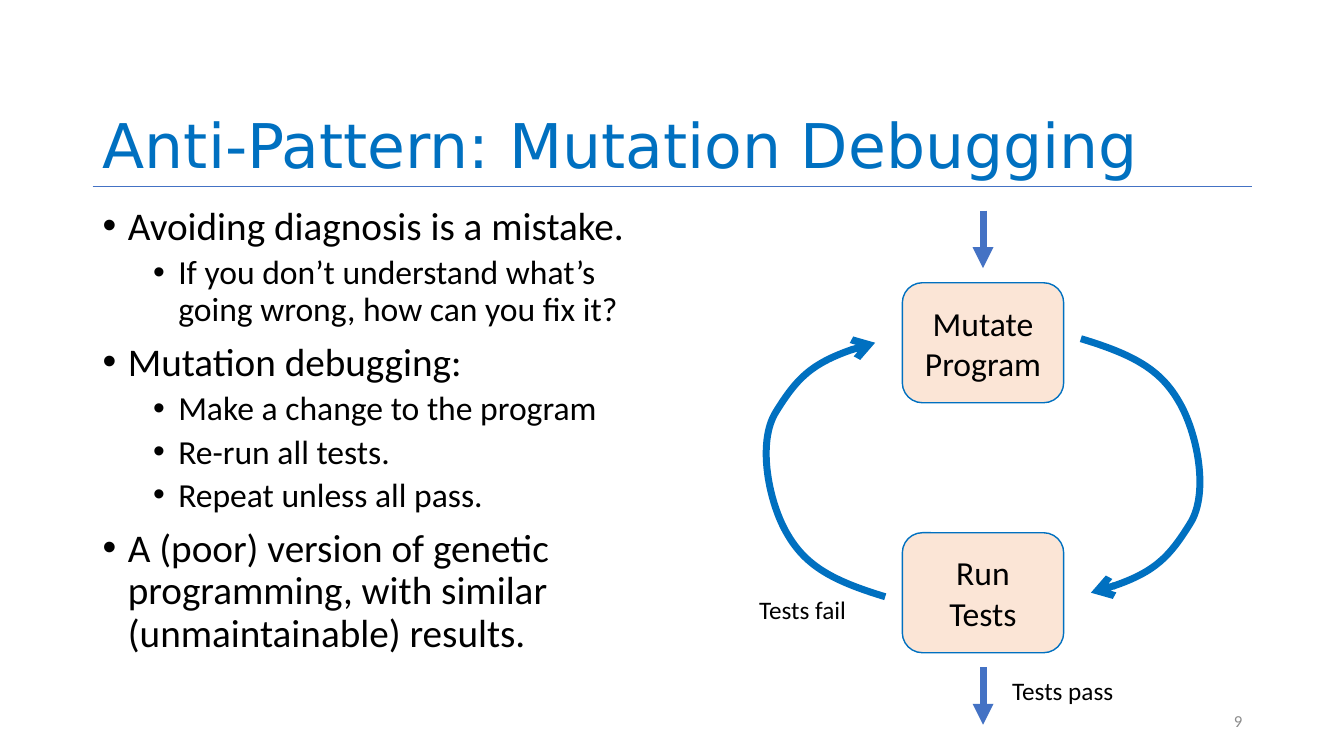
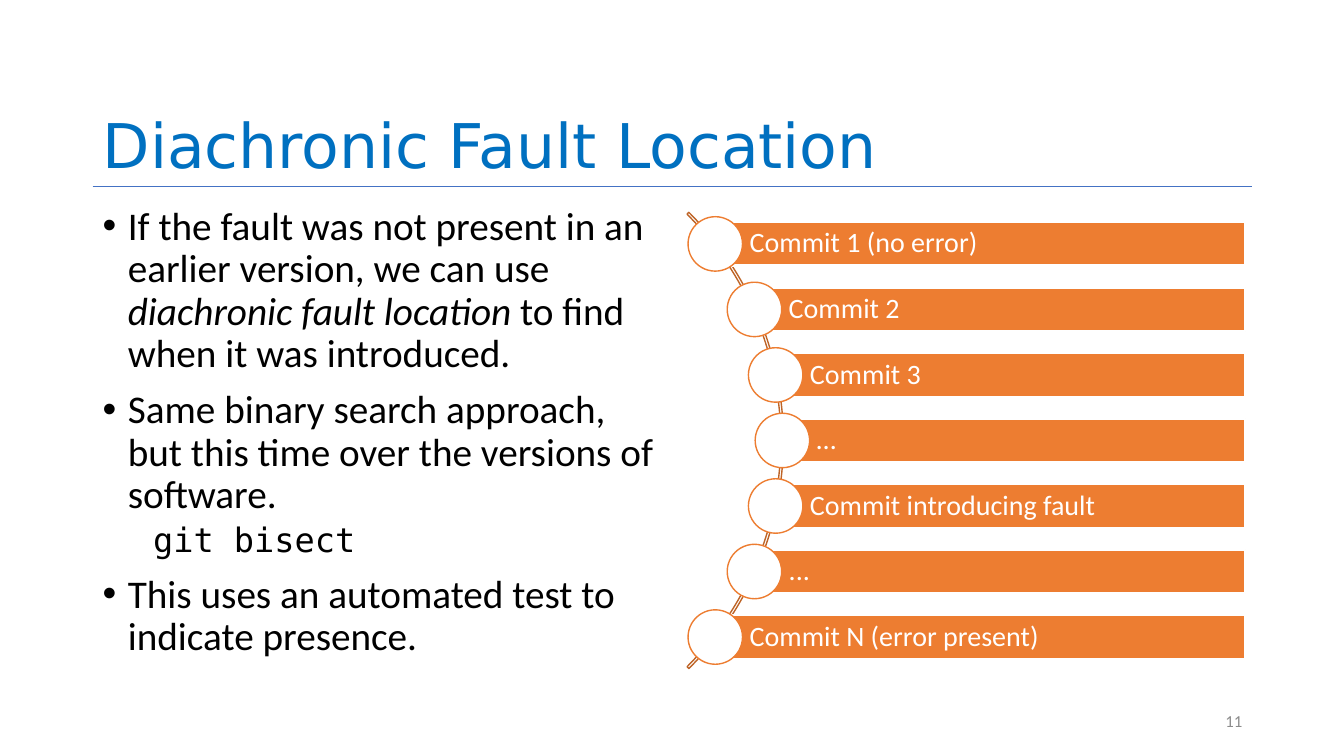
from math import sqrt

from lxml.etree import SubElement
from pptx import Presentation
from pptx.dml.color import RGBColor
from pptx.enum.shapes import MSO_CONNECTOR, MSO_SHAPE
from pptx.enum.text import MSO_ANCHOR, MSO_AUTO_SIZE, PP_ALIGN
from pptx.oxml.ns import qn
from pptx.util import Inches, Pt

COLORS = {
    "title": "0070C0", "rule": "4472C4", "text": "000000", "page": "8C8C8C",
    "step": "FBE5D6", "bar": "ED7D31", "arc": "BE6427", "white": "FFFFFF",
}
SANS, HEAD, MONO = "Calibri", "DejaVu Sans", "DejaVu Sans Mono"

TITLE = (0.92, 0.4, 11.5, 1.45)
BODY = (0.92, 2, 5.67, 4.76)
PAGE = (9.42, 6.95, 3, 0.4)
CYCLE = (7.5, 2.09, 4.5, 5.1)
STACK = (6.81, 2.1, 5.54, 4.5)

# Body styles: size, font, left indent, first line, space before, bullet
STYLES = {
    "main": (28, SANS, 0.25, -0.25, 10, "•"),
    "sub": (24, SANS, 0.75, -0.25, 5, "•"),
    "code": (24, MONO, 0.5, 0, 5, None),
}

# One side of the cycle, as Bézier points measured from its centre
CURVE = [
    (0.97, -1.28), (1.5, -1.12), (1.76, -0.97), (1.94, -0.66), (2.12, -0.36),
    (2.25, 0.25), (2.05, 0.56), (1.85, 0.88), (1.66, 1.09), (1.07, 1.24),
]


def rgb(name):
    return RGBColor.from_string(COLORS[name])


def emu(box):
    return [Inches(v) for v in box]


def style(run, size, color="text", font=SANS):
    run.font.size, run.font.name = Pt(size), font
    run.font.color.rgb = rgb(color)


def stroke(shape, color, width, tip=None):
    shape.line.color.rgb = rgb(color)
    shape.line.width = Pt(width)
    if tip:
        SubElement(shape.line._get_or_add_ln(), qn("a:tailEnd"), type=tip)


def fill(frame, text, size, color="text", font=SANS, align=PP_ALIGN.LEFT,
         anchor=MSO_ANCHOR.MIDDLE, space=None):
    frame.text = text
    frame.vertical_anchor = anchor
    for para in frame.paragraphs:
        para.alignment, para.line_spacing = align, space
        for run in para.runs:
            style(run, size, color, font)


def label(slide, box, text, size, wrap=True, **look):
    frame = slide.shapes.add_textbox(*emu(box)).text_frame
    frame.word_wrap = wrap
    if not wrap:
        frame.auto_size = MSO_AUTO_SIZE.SHAPE_TO_FIT_TEXT
    fill(frame, text, size, **look)


def block(slide, kind, box, color, edge, width):
    shape = slide.shapes.add_shape(kind, *emu(box))
    shape.shadow.inherit = False
    if color:
        shape.fill.solid()
        shape.fill.fore_color.rgb = rgb(color)
    else:
        shape.fill.background()
    stroke(shape, edge, width)
    return shape


def line(slide, start, end, color, width, tip=None):
    link = slide.shapes.add_connector(
        MSO_CONNECTOR.STRAIGHT, *emu(start), *emu(end))
    stroke(link, color, width, tip)
    SubElement(link._element.spPr, qn("a:effectLst"))


def curve(slide, points):
    spots = [tuple(emu(p)) for p in points]
    maker = slide.shapes.build_freeform(*spots[0], scale=1.0)
    maker.add_line_segments(spots[1:], close=False)
    shape = maker.convert_to_shape()
    shape.shadow.inherit = False
    shape.fill.background()
    stroke(shape, "title", 5, "arrow")
    # Turn each three line segments into one Bézier segment
    route = shape._element.find(".//" + qn("a:path"))
    legs = route.findall(qn("a:lnTo"))
    for i in range(0, len(legs), 3):
        bend = SubElement(route, qn("a:cubicBezTo"))
        for leg in legs[i:i + 3]:
            bend.append(leg[0])
            route.remove(leg)


def base(deck, title, page):
    """Add a slide with the shared title, rule and page number."""
    slide = deck.slides.add_slide(deck.slide_layouts[6])
    x, y, w, h = TITLE
    line(slide, (x, y + h), (x + w, y + h), "rule", 0.5)
    label(slide, TITLE, title, 44, color="title", font=HEAD,
          anchor=MSO_ANCHOR.BOTTOM, space=0.9)
    label(slide, PAGE, page, 12, color="page", align=PP_ALIGN.RIGHT)
    return slide


def body(slide, box, items):
    """Write styled paragraphs; text between asterisks is italic."""
    frame = slide.shapes.add_textbox(*emu(box)).text_frame
    frame.word_wrap = True
    for i, (kind, text) in enumerate(items):
        size, font, left, first, gap, mark = STYLES[kind]
        para = frame.add_paragraph() if i else frame.paragraphs[0]
        para.line_spacing, para.space_before = 0.9, Pt(gap)
        para.level = 0 if kind == "main" else 1
        props = para._p.get_or_add_pPr()
        props.set("marL", str(Inches(left)))
        props.set("indent", str(Inches(first)))
        if mark:
            SubElement(props, qn("a:buFont"), typeface="Arial")
            SubElement(props, qn("a:buChar"), char=mark)
        for j, part in enumerate(text.split("*")):
            run = para.add_run()
            run.text = part
            style(run, size, font=font)
            run.font.italic = j % 2 == 1


def cycle(slide, box):
    """Draw two steps, the curves between them and the way in and out."""
    x, y, w, h = box
    mid, half = x + w / 2, y + h / 2
    # Steps
    wide, high = 1.6, 1.19
    for text, shift in (("Mutate\nProgram", -1.24), ("Run\nTests", 1.24)):
        spot = (mid - wide / 2, half + shift - high / 2, wide, high)
        step = block(slide, MSO_SHAPE.ROUNDED_RECTANGLE, spot,
                     "step", "title", 1)
        fill(step.text_frame, text, 24, align=PP_ALIGN.CENTER)
    # Curves: the second is the first turned by half a circle
    for turn in (1, -1):
        curve(slide, [(mid + turn * a, half + turn * b) for a, b in CURVE])
    # Arrows in and out
    size = 0.57
    for top in (y, y + h - size):
        line(slide, (mid, top), (mid, top + size), "rule", 5, "triangle")
    # Outcomes
    label(slide, (mid + 0.19, y + 4.56, 1.21, 0.4), "Tests pass", 18, False)
    label(slide, (x - 0.07, y + 3.76, 1.07, 0.4), "Tests fail", 18, False)


def stack(slide, box, names):
    """Draw bars whose dots follow an arc that bulges to the right."""
    x, y, w, h = box
    mid, half = x - 2.24, y + h / 2
    bend, step, high, dot = 3.19, 0.65, 0.43, 0.54
    # Arc
    rim = 3.2
    arc = block(slide, MSO_SHAPE.BLOCK_ARC,
                (mid - rim, half + 0.02 - rim, 2 * rim, 2 * rim),
                None, "arc", 1)
    for i, value in enumerate((189, 27, 0.004)):
        arc.adjustments[i] = value
    # Bars and dots
    for i, name in enumerate(names):
        drop = (i - (len(names) - 1) / 2) * step
        left, row = mid + sqrt(bend ** 2 - drop ** 2), half + 0.02 + drop
        bar = block(slide, MSO_SHAPE.RECTANGLE,
                    (left, row - high / 2, x + w - left, high),
                    "bar", "white", 1.5)
        frame = bar.text_frame
        frame.margin_left = Inches(0.34)
        frame.margin_top = frame.margin_right = Inches(0.06)
        frame.margin_bottom = Inches(0.06)
        fill(frame, name, 20, color="white", space=0.9)
        block(slide, MSO_SHAPE.OVAL,
              (left - dot / 2, row - dot / 2, dot, dot), "white", "bar", 1)


def main():
    deck = Presentation()
    deck.slide_width, deck.slide_height = Inches(13.33), Inches(7.5)

    slide = base(deck, "Anti-Pattern: Mutation Debugging", "9")
    body(slide, BODY, [
        ("main", "Avoiding diagnosis is a mistake."),
        ("sub", "If you don’t understand what’s going wrong, "
                "how can you fix it?"),
        ("main", "Mutation debugging:"),
        ("sub", "Make a change to the program"),
        ("sub", "Re-run all tests."),
        ("sub", "Repeat unless all pass."),
        ("main", "A (poor) version of genetic programming, "
                 "with similar (unmaintainable) results."),
    ])
    cycle(slide, CYCLE)

    slide = base(deck, "Diachronic Fault Location", "11")
    body(slide, BODY, [
        ("main", "If the fault was not present in an earlier version, we can "
                 "use *diachronic fault location *to find when it was "
                 "introduced."),
        ("main", "Same binary search approach, but this time over the "
                 "versions of software."),
        ("code", "git bisect"),
        ("main", "This uses an automated test to indicate presence."),
    ])
    stack(slide, STACK, [
        "Commit 1 (no error)", "Commit 2", "Commit 3", "…",
        "Commit introducing fault", "...", "Commit N (error present)",
    ])
    deck.save("out.pptx")


if __name__ == "__main__":
    main()
